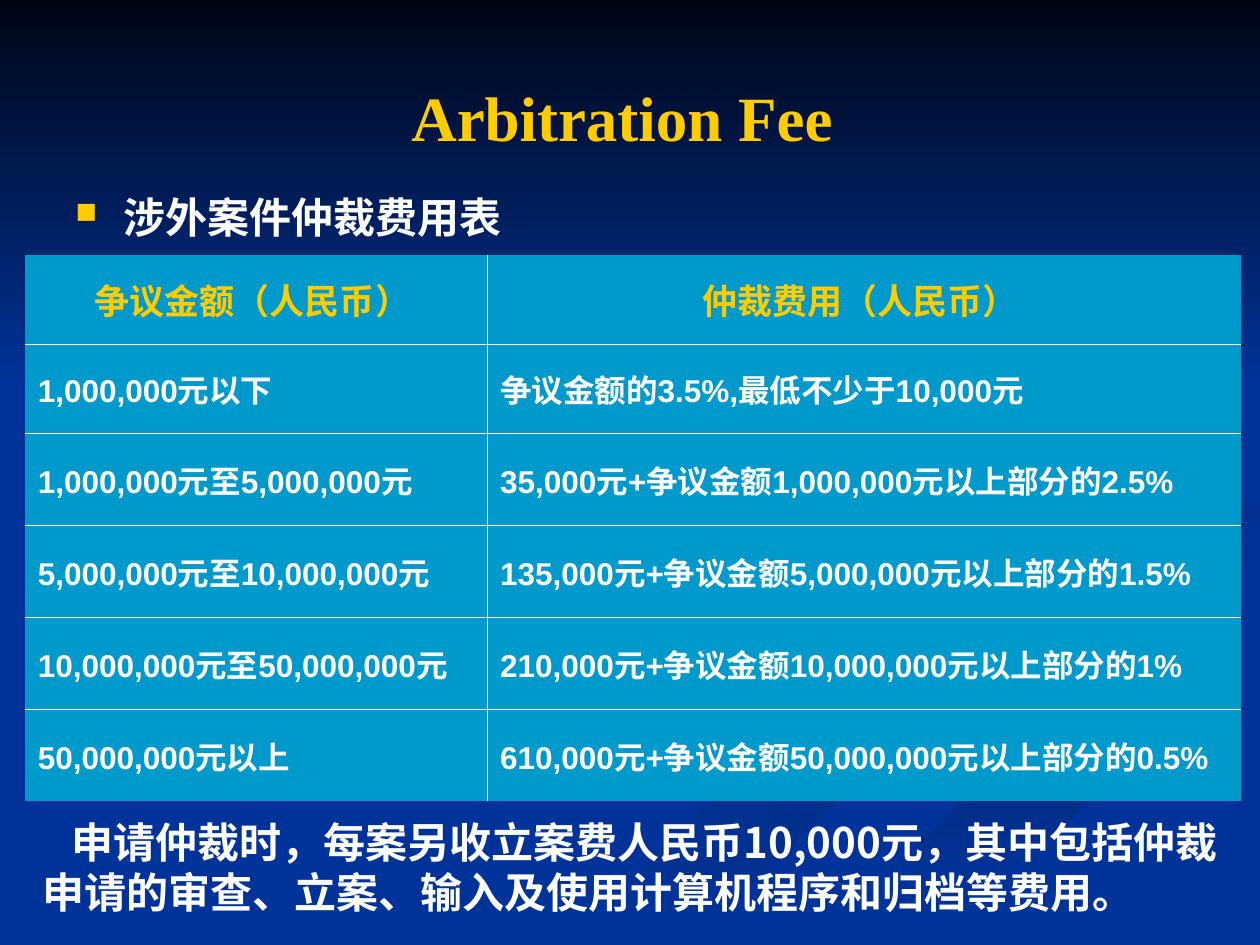
from lxml import etree
from pptx import Presentation
from pptx import util as u
from pptx.dml.color import RGBColor
from pptx.enum import shapes, text
from pptx.oxml.ns import qn

# Content
TITLE = "Arbitration Fee "
SUBTITLE = "涉外案件仲裁费用表"
FEES = [
    ("争议金额（人民币） ", "仲裁费用（人民币） "),
    ("1,000,000元以下", "争议金额的3.5%,最低不少于10,000元"),
    ("1,000,000元至5,000,000元", "35,000元+争议金额1,000,000元以上部分的2.5%"),
    ("5,000,000元至10,000,000元", "135,000元+争议金额5,000,000元以上部分的1.5%"),
    ("10,000,000元至50,000,000元", "210,000元+争议金额10,000,000元以上部分的1%"),
    ("50,000,000元以上", "610,000元+争议金额50,000,000元以上部分的0.5%"),
]
NOTE = ("申请仲裁时，每案另收立案费人民币10,000元，其中包括仲裁申请的审查、"
        "立案、输入及使用计算机程序和归档等费用。")

# Style
COLORS = {"back": "003399", "night": "000514", "shade": "002E8A", "deep": "00297C",
          "dim": "002C85", "gold": "FFCC00", "white": "FFFFFF", "cell": "0099CC"}
CJK, LATIN, SERIF = "Noto Sans CJK SC", "Arial", "Times New Roman"
W, H = 10, 7.5
COL_W = (3.67, 5.98)
ROW_H = (0.71, 0.71, 0.73, 0.73, 0.73, 0.73)
HANG = 0.38

# Background ribbons: start colour, end colour, angle, outline
RIBBONS = [
    ("shade", "back", 180, [
        (7.81, 5.53), (7.86, 5.66), (7.67, 5.87), (7.14, 6.05), (6.16, 6.29), (4.99, 6.61),
        (4.17, 6.9), (3.38, 7.27), (3, 7.49), (3.61, 7.49), (4.31, 7.14), (4.99, 6.87),
        (5.94, 6.56), (6.99, 6.28), (7.69, 6.09), (7.95, 5.92), (8, 5.81), (7.92, 5.61)]),
    ("deep", "back", 270, [
        (5.19, 7.47), (5.03, 7.49), (5.71, 7.49), (6, 7.33), (6.49, 7.1), (6.95, 6.92),
        (7.52, 6.72), (8.21, 6.51), (9.03, 6.3), (9.98, 6.09), (9.98, 5.81), (9.76, 5.9),
        (9.36, 6.02), (8.67, 6.2), (7.64, 6.47), (6.96, 6.69), (6.3, 6.93), (5.69, 7.19)]),
    ("back", "dim", 135, [
        (7.81, 4.6), (7.86, 4.74), (8.06, 4.87), (8.26, 4.96), (8.09, 4.83), (8.05, 4.72),
        (8.16, 4.59), (8.43, 4.48), (8.96, 4.35), (9.54, 4.26), (9.98, 4.2), (9.98, 4.02),
        (9.67, 4.09), (8.98, 4.18), (8.35, 4.3), (7.99, 4.42)]),
]


def rgb(name):
    return RGBColor.from_string(COLORS[name])


def write(tf, words, size=18, font=CJK, color="white", align=text.PP_ALIGN.LEFT,
          left=0, first=0, bullet=None):
    """Fill a text frame with one bold paragraph."""
    tf.word_wrap = True
    p = tf.paragraphs[0]
    p.alignment = align
    pPr = p._p.get_or_add_pPr()
    pPr.set("marL", str(u.Inches(left)))
    pPr.set("indent", str(u.Inches(first)))
    if bullet:
        clr = etree.SubElement(pPr, qn("a:buClr"))
        etree.SubElement(clr, qn("a:srgbClr"), val=COLORS["gold"])
        etree.SubElement(pPr, qn("a:buSzPct"), val="70000")
        etree.SubElement(pPr, qn("a:buChar"), char=bullet)
    r = p.add_run()
    r.text = words
    r.font.size, r.font.bold, r.font.name = u.Pt(size), True, font
    r.font.color.rgb = rgb(color)
    etree.SubElement(r._r.get_or_add_rPr(), qn("a:ea"), typeface=CJK)


def shade(sp, start, end, angle):
    """Give a shape a two-colour gradient, no line and no shadow."""
    sp.shadow.inherit = False
    sp.line.fill.background()
    sp.fill.gradient()
    sp.fill.gradient_angle = angle
    for stop, name in zip(sp.fill.gradient_stops, (start, end)):
        stop.color.rgb = rgb(name)


def set_borders(cell, inner):
    """Draw thin white lines on inner sides; clear the outer ones."""
    tcPr = cell._tc.get_or_add_tcPr()
    for i, (side, shown) in enumerate(inner.items()):
        ln = etree.Element(qn("a:ln" + side), w=str(u.Pt(0.45)))
        if shown:
            fill = etree.SubElement(ln, qn("a:solidFill"))
            etree.SubElement(fill, qn("a:srgbClr"), val=COLORS["white"])
        else:
            etree.SubElement(ln, qn("a:noFill"))
        tcPr.insert(i, ln)


def add_text(s, box, words, **fmt):
    sp = s.shapes.add_textbox(*map(u.Inches, box))
    write(sp.text_frame, words, **fmt)


def add_fee_table(s):
    box = (0.2, 2.02, sum(COL_W), sum(ROW_H))
    rows, cols = len(FEES), len(COL_W)
    table = s.shapes.add_table(rows, cols, *map(u.Inches, box)).table
    table.horz_banding = table.first_row = False
    for col, width in zip(table.columns, COL_W):
        col.width = u.Inches(width)
    for i, (row, height) in enumerate(zip(table.rows, ROW_H)):
        row.height = u.Inches(height)
        for j, cell in enumerate(row.cells):
            head = dict(size=20, color="gold", align=text.PP_ALIGN.CENTER)
            fmt = head if i == 0 else dict(font=LATIN)
            write(cell.text_frame, FEES[i][j], left=HANG, first=-HANG, **fmt)
            cell.vertical_anchor = text.MSO_ANCHOR.MIDDLE
            cell.fill.solid()
            cell.fill.fore_color.rgb = rgb("cell")
            set_borders(cell, {"L": j > 0, "R": j < cols - 1, "T": i > 0, "B": i < rows - 1})


def main():
    prs = Presentation()
    prs.slide_width, prs.slide_height = u.Inches(W), u.Inches(H)
    s = prs.slides.add_slide(prs.slide_layouts[5])

    # Background
    s.background.fill.solid()
    s.background.fill.fore_color.rgb = rgb("back")
    for start, end, angle, points in RIBBONS:
        outline = s.shapes.build_freeform(*points[0], scale=u.Inches(1))
        outline.add_line_segments(points[1:], close=True)
        shade(outline.convert_to_shape(), start, end, angle)
    sky = s.shapes.add_shape(shapes.MSO_SHAPE.RECTANGLE, 0, 0, u.Inches(W), u.Inches(3.08))
    shade(sky, "night", "back", 270)

    # Title, moved in front of the background
    title = s.shapes.title
    title.left, title.top, title.width, title.height = map(u.Inches, (0.5, 0.3, 9, 1.25))
    s.shapes._spTree.append(title._element)
    title.text_frame.vertical_anchor = text.MSO_ANCHOR.MIDDLE
    write(title.text_frame, TITLE, size=36, font=SERIF, color="gold",
          align=text.PP_ALIGN.CENTER)

    # Subtitle, fee table and closing note
    add_text(s, (0.5, 1.47, 4.42, 0.5), SUBTITLE, size=24, left=HANG, first=-HANG, bullet="■")
    add_fee_table(s)
    add_text(s, (0.24, 6.43, 9.65, 0.9), NOTE, size=24, first=0.23)

    prs.save("out.pptx")


if __name__ == "__main__":
    main()
